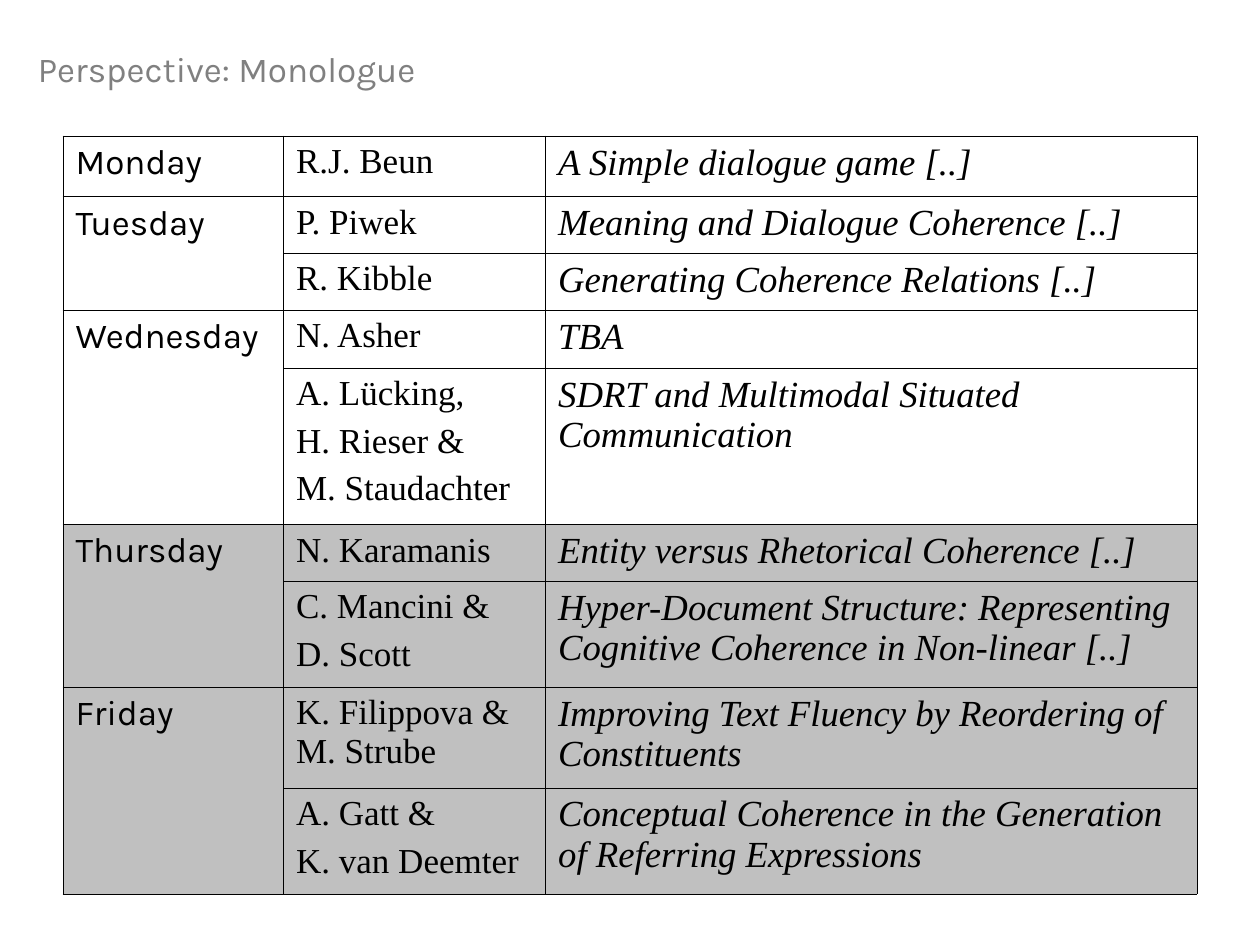
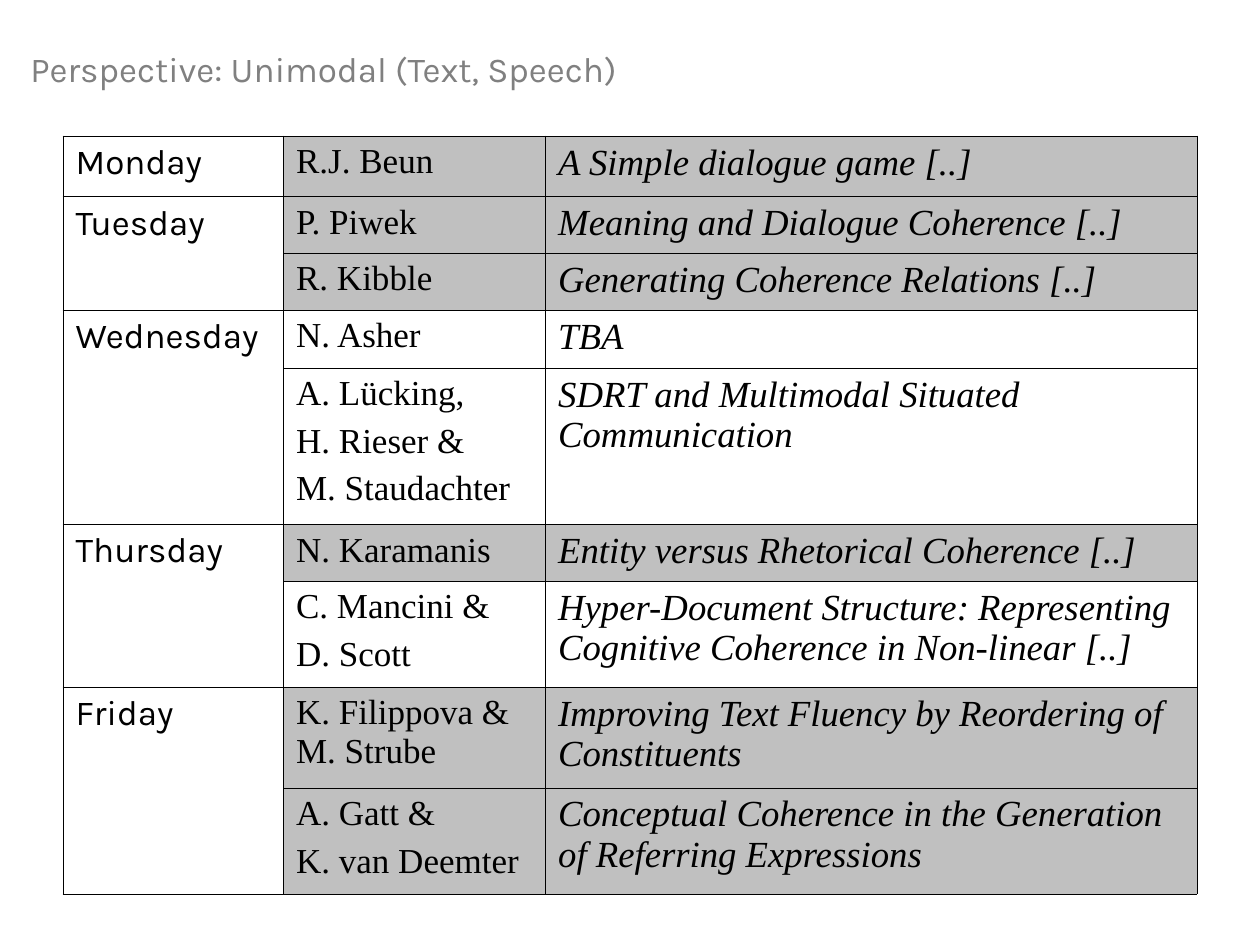
from pptx import Presentation
from pptx.dml.color import RGBColor
from pptx.enum.text import MSO_ANCHOR, MSO_AUTO_SIZE, PP_ALIGN
from pptx.oxml import parse_xml
from pptx.oxml.ns import nsdecls
from pptx.util import Inches, Pt

BLACK, GREY, SHADE, WHITE = "000000", "808080", "C0C0C0", "FFFFFF"
SANS, SERIF = "Karla", "Times New Roman"
W, H = Inches(10), Inches(7.5)

# Shares of the slide: left, top, width, height
TABLE_BOX = (0.05, 0.144, 0.9, 0.802)
TITLE_TOP, TITLE_HEIGHT = 0.044, 0.059

# Column styles: relative width, font, size, italic, space before
COLUMNS = [
    (1.75, SANS, 20, False, 0),
    (2.08, SERIF, 20, False, 5),
    (5.17, SERIF, 21, True, 5.2),
]

# Day -> talks: relative row height, speakers (one paragraph each), talk title
PROGRAMME = {
    "Monday": [(0.48, ["R.J. Beun"], "A Simple dialogue game [..]")],
    "Tuesday": [
        (0.45, ["P. Piwek"], "Meaning and Dialogue Coherence [..]"),
        (0.45, ["R. Kibble"], "Generating Coherence Relations [..]"),
    ],
    "Wednesday": [
        (0.46, ["N. Asher"], "TBA"),
        (1.24, ["A. Lücking,", "H. Rieser &", "M. Staudachter"],
         "SDRT and Multimodal Situated Communication"),
    ],
    "Thursday": [
        (0.45, ["N. Karamanis"], "Entity versus Rhetorical Coherence [..]"),
        (0.84, ["C. Mancini &", "D. Scott"],
         "Hyper-Document Structure: Representing Cognitive Coherence in Non-linear [..]"),
    ],
    "Friday": [
        (0.8, ["K. Filippova & M. Strube"],
         "Improving Text Fluency by Reordering of Constituents"),
        (0.84, ["A. Gatt &", "K. van Deemter"],
         "Conceptual Coherence in the Generation of Referring Expressions"),
    ],
}

# Title, its left and width as shares, shaded rows, shaded columns
PERSPECTIVES = [
    ("Perspective: Monologue", 0.02, 0.335, {5, 6, 7, 8}, {0, 1, 2}),
    ("Perspective: Unimodal (Text, Speech)", 0.014, 0.501,
     {0, 1, 2, 5, 7, 8}, {1, 2}),
]


def rgb(color):
    return RGBColor.from_string(color)


def add_run(p, text, font, size, color, italic=False):
    r = p.add_run()
    r.text = text
    r.font.name, r.font.size, r.font.italic = font, Pt(size), italic
    r.font.color.rgb = rgb(color)


def write_cell(cell, lines, column):
    _, font, size, italic, before = column
    tf = cell.text_frame
    for i, line in enumerate(lines):
        p = tf.add_paragraph() if i else tf.paragraphs[0]
        p.space_before = Pt(before)
        add_run(p, line, font, size, BLACK, italic)


def style_cell(cell, fill):
    cell.fill.solid()
    cell.fill.fore_color.rgb = rgb(fill)
    # Borders come before the fill in the cell properties
    tc_pr = cell._tc.get_or_add_tcPr()
    for i, side in enumerate("LRTB"):
        tc_pr.insert(i, parse_xml(
            f'<a:ln{side} {nsdecls("a")} w="{Pt(0.45)}"><a:solidFill>'
            f'<a:srgbClr val="{BLACK}"/></a:solidFill></a:ln{side}>'))


def add_title(s, text, left, width):
    sp = s.shapes.title
    sp.left, sp.top = int(W * left), int(H * TITLE_TOP)
    sp.width, sp.height = int(W * width), int(H * TITLE_HEIGHT)
    tf = sp.text_frame
    tf.word_wrap = False
    tf.auto_size = MSO_AUTO_SIZE.SHAPE_TO_FIT_TEXT
    tf.vertical_anchor = MSO_ANCHOR.TOP
    p = tf.paragraphs[0]
    p.alignment = PP_ALIGN.LEFT
    add_run(p, text, SANS, 20, GREY)


def add_programme(s, box, shaded_rows, shaded_columns):
    left, top, width, height = (
        int(share * side) for share, side in zip(box, (W, H, W, H)))
    talks = [talk for day in PROGRAMME.values() for talk in day]
    table = s.shapes.add_table(
        len(talks), len(COLUMNS), left, top, width, height).table
    table.first_row = table.horz_banding = False

    # Grid
    total_width = sum(column[0] for column in COLUMNS)
    for col, column in zip(table.columns, COLUMNS):
        col.width = int(width * column[0] / total_width)
    total_height = sum(talk[0] for talk in talks)
    for row, talk in zip(table.rows, talks):
        row.height = int(height * talk[0] / total_height)

    # Speakers and talk titles
    for r, (_, speakers, talk_title) in enumerate(talks):
        write_cell(table.cell(r, 1), speakers, COLUMNS[1])
        write_cell(table.cell(r, 2), [talk_title], COLUMNS[2])
        for c in range(len(COLUMNS)):
            shaded = r in shaded_rows and c in shaded_columns
            style_cell(table.cell(r, c), SHADE if shaded else WHITE)

    # Days, each spanning its talks
    first = 0
    for day, day_talks in PROGRAMME.items():
        last = first + len(day_talks) - 1
        if last > first:
            table.cell(first, 0).merge(table.cell(last, 0))
        write_cell(table.cell(first, 0), [day], COLUMNS[0])
        first = last + 1


def add_perspective(prs, title, left, width, shaded_rows, shaded_columns):
    s = prs.slides.add_slide(prs.slide_layouts.get_by_name("Title Only"))
    add_title(s, title, left, width)
    add_programme(s, TABLE_BOX, shaded_rows, shaded_columns)


def main():
    prs = Presentation()
    prs.slide_width, prs.slide_height = W, H
    for perspective in PERSPECTIVES:
        add_perspective(prs, *perspective)
    prs.save("out.pptx")


if __name__ == "__main__":
    main()
